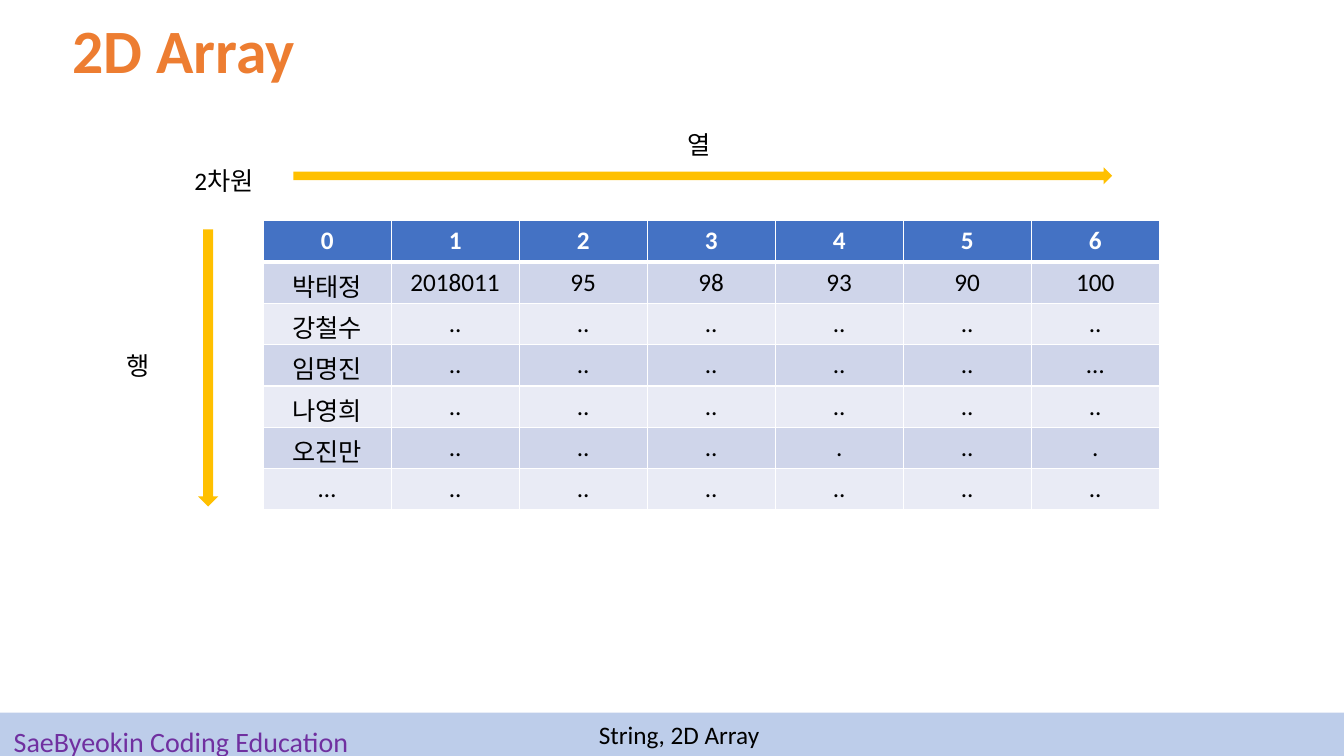
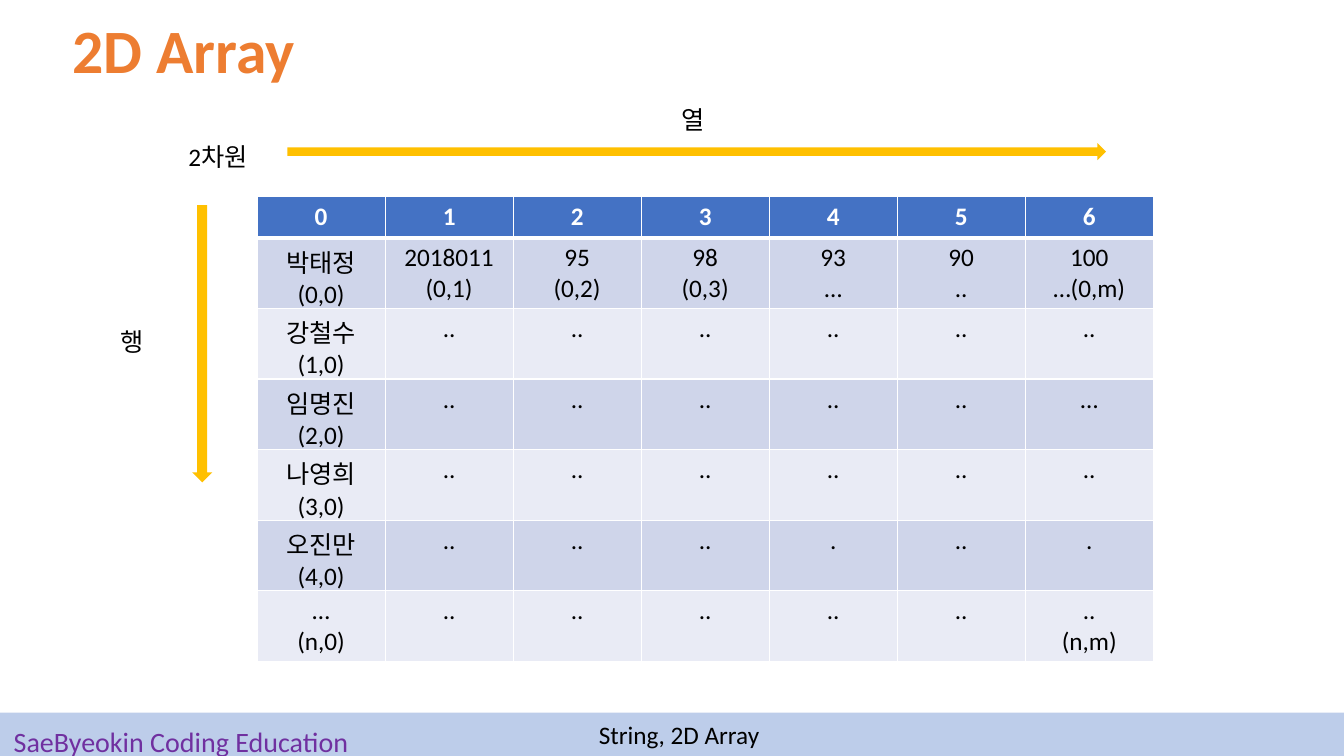
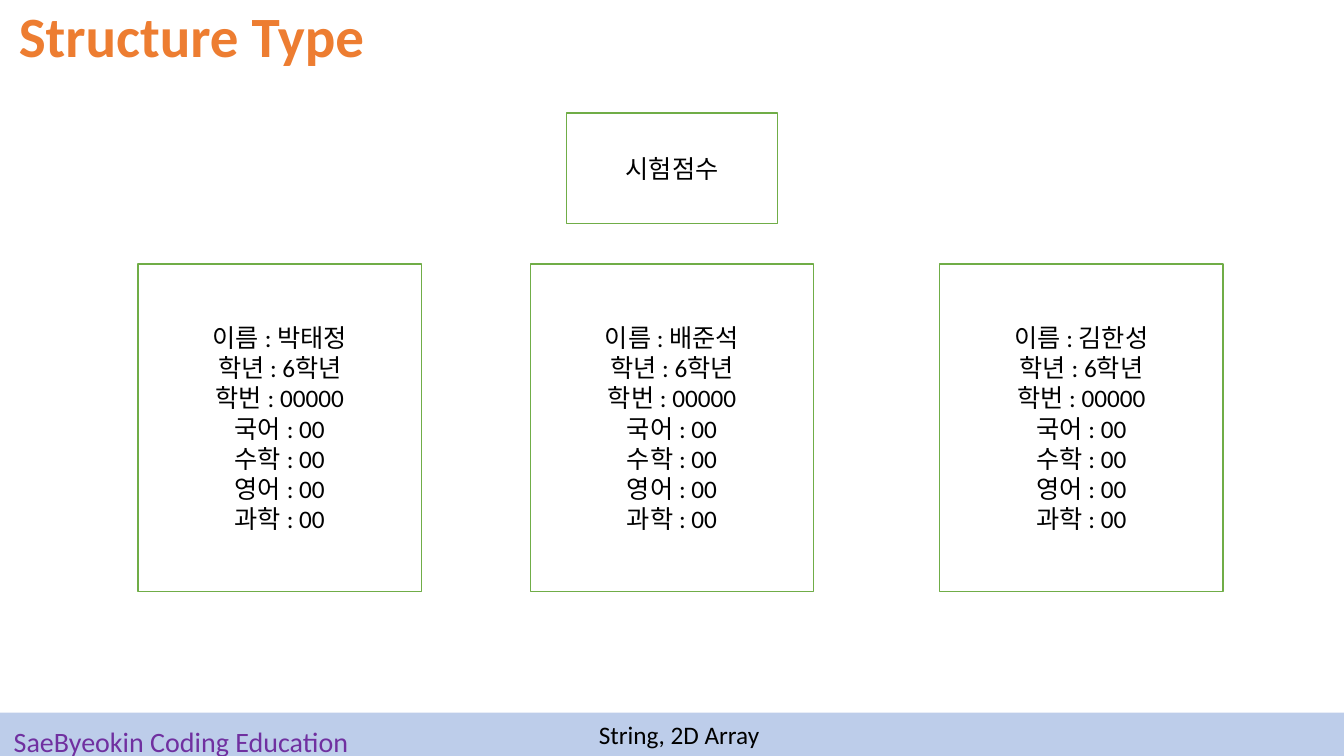
from lxml import etree
from pptx import Presentation
from pptx.dml.color import RGBColor
from pptx.enum.shapes import MSO_SHAPE as Preset
from pptx.enum.text import MSO_ANCHOR as Anchor, MSO_AUTO_SIZE as AutoSize, PP_ALIGN as Align
from pptx.oxml.ns import qn
from pptx.util import Inches, Pt

FONT = "Calibri"
COLORS = {
    "title": "ED7D31",
    "brand": "7030A0",
    "header": "4472C4",
    "odd_row": "CFD5EA",
    "even_row": "E9EBF5",
    "arrow": "FFC000",
    "card_line": "70AD47",
    "text": "000000",
    "white": "FFFFFF",
}

# Table content: a line break separates paragraphs
HEADER = [str(column) for column in range(7)]
SCORES = ["2018011", "95", "98", "93", "90", "100"]
DOTS = [".."] * 6
STUDENT_ROWS = [
    ["박태정"] + SCORES,
    ["강철수"] + DOTS,
    ["임명진"] + DOTS[:5] + ["…"],
    ["나영희"] + DOTS,
    ["오진만", "..", "..", "..", ".", "..", "."],
    ["…"] + DOTS,
]
FIRST_ROW_INDEXES = ["(0,1)", "(0,2)", "(0,3)", "…", "..", "…(0,m)"]


def color(name):
    return RGBColor.from_string(COLORS[name])


def box(left, top, width, height):
    return [Inches(length) for length in (left, top, width, height)]


def write(text_frame, text, size=18, color_name="text", bold=False, align=Align.CENTER,
          line_spacing=None, space_before=None):
    text_frame.text = text
    for paragraph in text_frame.paragraphs:
        paragraph.alignment = align
        paragraph.line_spacing = line_spacing
        paragraph.space_before = space_before
        font = paragraph.font
        font.name, font.size, font.bold = FONT, Pt(size), bold
        font.color.rgb = color(color_name)


def add_preset(slide, preset, place, fill, line=None):
    shape = slide.shapes.add_shape(preset, *box(*place))
    shape.shadow.inherit = False
    shape.fill.solid()
    shape.fill.fore_color.rgb = color(fill)
    if line:
        shape.line.color.rgb = color(line)
        shape.line.width = Pt(1)
    else:
        shape.line.fill.background()
    return shape


def add_label(slide, place, text, anchor=Anchor.TOP, **style):
    text_frame = slide.shapes.add_textbox(*box(*place)).text_frame
    text_frame.word_wrap = True
    text_frame.vertical_anchor = anchor
    write(text_frame, text, **style)


def add_footer(slide):
    band = add_preset(slide, Preset.RECTANGLE, (-0.03, 7.07, 13.39, 0.5), "header")
    band_color = band.fill._xPr.find(qn("a:solidFill"))[0]
    etree.SubElement(band_color, qn("a:alpha"), val="35000")
    add_label(slide, (-0.36, 7.43, 4.31, 0.14), "SaeByeokin Coding Education", Anchor.BOTTOM,
              size=20, color_name="brand", line_spacing=0.9)
    add_label(slide, (5.19, 7.12, 3.09, 0.51), "String, 2D Array",
              line_spacing=0.9, space_before=Pt(10))


def add_slide(presentation, title, place, size):
    """Title-only slide with the shared title style and footer."""
    slide = presentation.slides.add_slide(presentation.slide_layouts[5])
    heading = slide.shapes.title
    heading.left, heading.top, heading.width, heading.height = box(*place)
    text_frame = heading.text_frame
    text_frame.auto_size = AutoSize.NONE
    text_frame.vertical_anchor = Anchor.TOP
    write(text_frame, title, size, "title", True, line_spacing=0.9, space_before=Pt(10))
    add_footer(slide)
    return slide


def set_borders(cell, bottom_width):
    properties = cell._tc.get_or_add_tcPr()
    widths = {"a:lnL": 1, "a:lnR": 1, "a:lnT": 1, "a:lnB": bottom_width}
    for position, (tag, width) in enumerate(widths.items()):
        line = etree.Element(qn(tag), w=str(Pt(width)))
        fill = etree.SubElement(line, qn("a:solidFill"))
        etree.SubElement(fill, qn("a:srgbClr"), val=COLORS["white"])
        properties.insert(position, line)


def add_score_table(slide, left, top, rows):
    column_width, row_height = 1.27, 0.41
    size = column_width * len(HEADER), row_height * (len(rows) + 1)
    table = slide.shapes.add_table(len(rows) + 1, len(HEADER), *box(left, top, *size)).table
    for row_number, values in enumerate([HEADER] + rows):
        is_header = row_number == 0
        fill = "header" if is_header else "odd_row" if row_number % 2 else "even_row"
        for column, text in enumerate(values):
            cell = table.cell(row_number, column)
            cell.fill.solid()
            cell.fill.fore_color.rgb = color(fill)
            write(cell.text_frame, text, color_name="white" if is_header else "text",
                  bold=is_header)
            set_borders(cell, 3 if is_header else 1)


def add_array_slide(presentation, left, top, rows):
    """Score table with axis arrows and labels placed relative to its corner."""
    slide = add_slide(presentation, "2D Array", (0.2, 0.15, 3.25, 0.85), 44)
    add_score_table(slide, left, top, rows)
    add_preset(slide, Preset.RIGHT_ARROW, (left + 0.3, top - 0.53, 8.12, 0.17), "arrow")
    row_arrow = add_preset(slide, Preset.RIGHT_ARROW, (left - 1.92, top + 1.36, 2.75, 0.2), "arrow")
    row_arrow.rotation = 90
    for text, x, y, width in [("2차원", -0.78, -0.6, 0.8), ("행", -1.45, 1.24, 0.45),
                              ("열", 4.11, -0.96, 0.45)]:
        add_label(slide, (left + x, top + y, width, 0.4), text, align=Align.LEFT)


def with_indexes(rows):
    """Add each cell's array index below its value."""
    indexed = [list(row) for row in rows]
    for row, index in zip(indexed, ["0", "1", "2", "3", "4", "n"]):
        row[0] += f"\n({index},0)"
    for column, index in enumerate(FIRST_ROW_INDEXES, start=1):
        indexed[0][column] += f"\n{index}"
    indexed[-1][-1] += "\n(n,m)"
    return indexed


def add_card(slide, place, lines):
    card = add_preset(slide, Preset.RECTANGLE, place, "white", "card_line")
    card.text_frame.vertical_anchor = Anchor.MIDDLE
    write(card.text_frame, "\n".join(lines))


def add_structure_slide(presentation):
    slide = add_slide(presentation, "Structure Type", (-0.03, 0.03, 3.86, 0.85), 40.7)
    add_card(slide, (5.62, 1.12, 2.09, 1.1), ["시험점수"])
    subjects = [f"{subject} : 00" for subject in ("국어", "수학", "영어", "과학")]
    for name, left in [("박태정", 1.37), ("배준석", 5.26), ("김한성", 9.32)]:
        lines = [f"이름 : {name}", "학년 : 6학년", "학번 : 00000"] + subjects
        add_card(slide, (left, 2.62, 2.81, 3.25), lines)


def main():
    presentation = Presentation()
    presentation.slide_width, presentation.slide_height = Inches(13.33), Inches(7.5)
    add_array_slide(presentation, 2.61, 2.19, STUDENT_ROWS)
    add_array_slide(presentation, 2.55, 1.95, with_indexes(STUDENT_ROWS))
    add_structure_slide(presentation)
    presentation.save("out.pptx")


if __name__ == "__main__":
    main()
